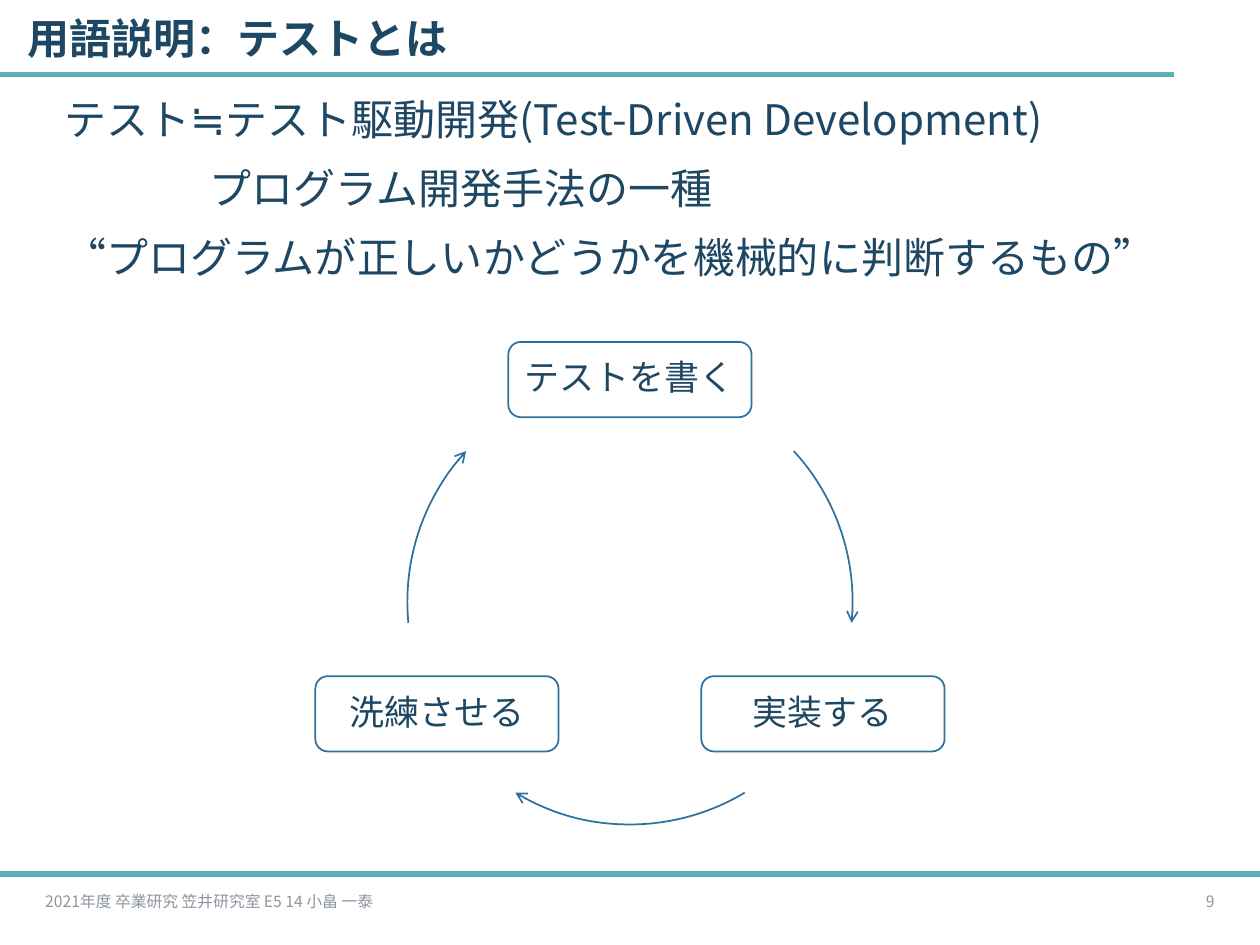
from dataclasses import dataclass

from lxml import etree
from pptx import Presentation
from pptx.dml.color import RGBColor
from pptx.enum import shapes, text
from pptx.oxml import ns
from pptx.util import Pt

FONT = "Noto Sans CJK JP"
COLORS = {"ink": "1D4763", "rule": "57B1B7", "outline": "2E719E", "footer": "8D959F"}
LEFT, CENTER, RIGHT = text.PP_ALIGN.LEFT, text.PP_ALIGN.CENTER, text.PP_ALIGN.RIGHT
MIDDLE, TOP = text.MSO_ANCHOR.MIDDLE, text.MSO_ANCHOR.TOP


@dataclass
class Box:
    left: float
    top: float
    width: float
    height: float

    def lengths(self) -> list:
        return [Pt(v) for v in (self.left, self.top, self.width, self.height)]


@dataclass
class Step:
    label: str
    left: float
    top: float


@dataclass
class Arc:
    start: float  # degrees, clockwise from the right
    end: float


@dataclass
class Line:
    words: str
    indent: float = 0


def color(name: str) -> RGBColor:
    return RGBColor.from_string(COLORS[name])


def place(shape, box: Box) -> None:
    shape.left, shape.top, shape.width, shape.height = box.lengths()


def set_frame(frame, anchor) -> None:
    frame.word_wrap = True
    frame.auto_size = text.MSO_AUTO_SIZE.NONE
    frame.vertical_anchor = anchor


def add_span(para, words: str, size: float, ink: str = "ink", bold: bool = False) -> None:
    span = para.add_run()
    span.text = words
    span.font.size = Pt(size)
    span.font.bold = bold
    span.font.color.rgb = color(ink)
    span.font.name = FONT
    east_asian = etree.SubElement(span.font._element, ns.qn("a:ea"))
    east_asian.set("typeface", FONT)


def add_rule(page, y: float, width: float) -> None:
    rule = page.shapes.add_connector(
        shapes.MSO_CONNECTOR.STRAIGHT, Pt(0), Pt(y), Pt(width), Pt(y))
    rule.line.color.rgb = color("rule")
    rule.line.width = Pt(3)
    etree.SubElement(rule._element.spPr, ns.qn("a:effectLst"))


def add_outline(page, kind, box: Box):
    shape = page.shapes.add_shape(kind, *box.lengths())
    shape.shadow.inherit = False
    shape.fill.background()
    shape.line.color.rgb = color("outline")
    shape.line.width = Pt(1)
    return shape


def add_step(page, step: Step) -> None:
    shape = add_outline(page, shapes.MSO_SHAPE.ROUNDED_RECTANGLE,
                        Box(step.left, step.top, 139, 43))
    frame = shape.text_frame
    set_frame(frame, MIDDLE)
    frame.margin_left = frame.margin_right = Pt(6)
    para = frame.paragraphs[0]
    para.alignment = CENTER
    para.line_spacing = 0.9
    add_span(para, step.label, 20)


def add_arc(page, arc: Arc, circle: Box) -> None:
    shape = add_outline(page, shapes.MSO_SHAPE.ARC, circle)
    # Angles are stored in 60000ths of a degree, adjustments in 100000ths
    shape.adjustments[0] = arc.start * 0.6
    shape.adjustments[1] = arc.end * 0.6
    line = shape.line._get_or_add_ln()
    etree.SubElement(line, ns.qn("a:tailEnd")).set("type", "arrow")


def add_footer(page, words: str, box: Box, alignment) -> None:
    frame = page.shapes.add_textbox(*box.lengths()).text_frame
    set_frame(frame, MIDDLE)
    para = frame.paragraphs[0]
    para.alignment = alignment
    add_span(para, words, 9, "footer")


def fill_title(title, words: str) -> None:
    place(title, Box(8.64, 3.6, 682, 40))
    set_frame(title.text_frame, MIDDLE)
    para = title.text_frame.paragraphs[0]
    para.alignment = LEFT
    para.line_spacing = 0.9
    add_span(para, words, 24, bold=True)


def fill_body(body, lines: list[Line]) -> None:
    place(body, Box(29.5, 53.3, 671, 434))
    frame = body.text_frame
    set_frame(frame, TOP)
    for index, line in enumerate(lines):
        para = frame.add_paragraph() if index else frame.paragraphs[0]
        para.line_spacing = 0.9
        para.space_before = Pt(13.3)
        add_span(para, line.words, 24)
        props = para._p.get_or_add_pPr()
        props.set("marL", str(Pt(line.indent)))
        props.set("indent", "0")
        etree.SubElement(props, ns.qn("a:buNone"))


def main() -> None:
    deck = Presentation()
    deck.slide_width, deck.slide_height = Pt(720), Pt(540)
    page = deck.slides.add_slide(deck.slide_layouts[1])

    # Rules and footer
    add_rule(page, 42.5, 671)
    add_rule(page, 499.5, 720)
    add_footer(page, "2021年度 卒業研究 笠井研究室 E5 14 小畠 一泰",
               Box(18.7, 500.4, 462, 28.8), LEFT)
    add_footer(page, "9", Box(663, 500.4, 38.2, 28.8), RIGHT)

    # Title and explanation
    fill_title(page.shapes.title, "用語説明：テストとは")
    fill_body(page.placeholders[1], [
        Line("テスト≒テスト駆動開発(Test-Driven Development)"),
        Line("プログラム開発手法の一種", indent=83),
        Line("“プログラムが正しいかどうかを機械的に判断するもの”"),
    ])

    # Development cycle
    for step in (Step("テストを書く", 290.5, 195.4),
                 Step("実装する", 400.8, 386.4),
                 Step("洗練させる", 180.2, 386.4)):
        add_step(page, step)
    circle = Box(232.8, 216.7, 254.4, 254.4)
    for arc in (Arc(317.4, 5.4), Arc(59, 121), Arc(174.6, 222.6)):
        add_arc(page, arc, circle)

    deck.save("out.pptx")


if __name__ == "__main__":
    main()
